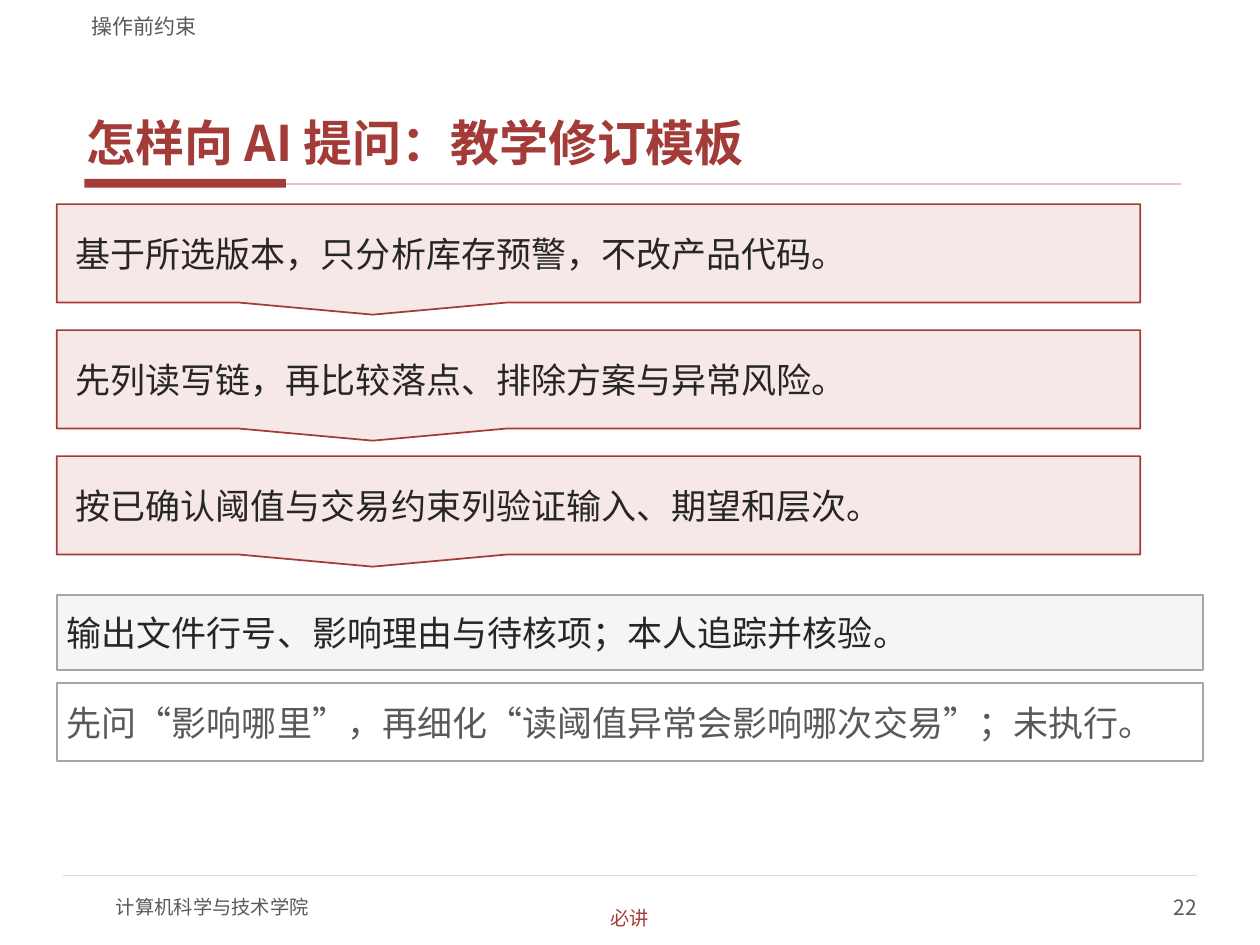
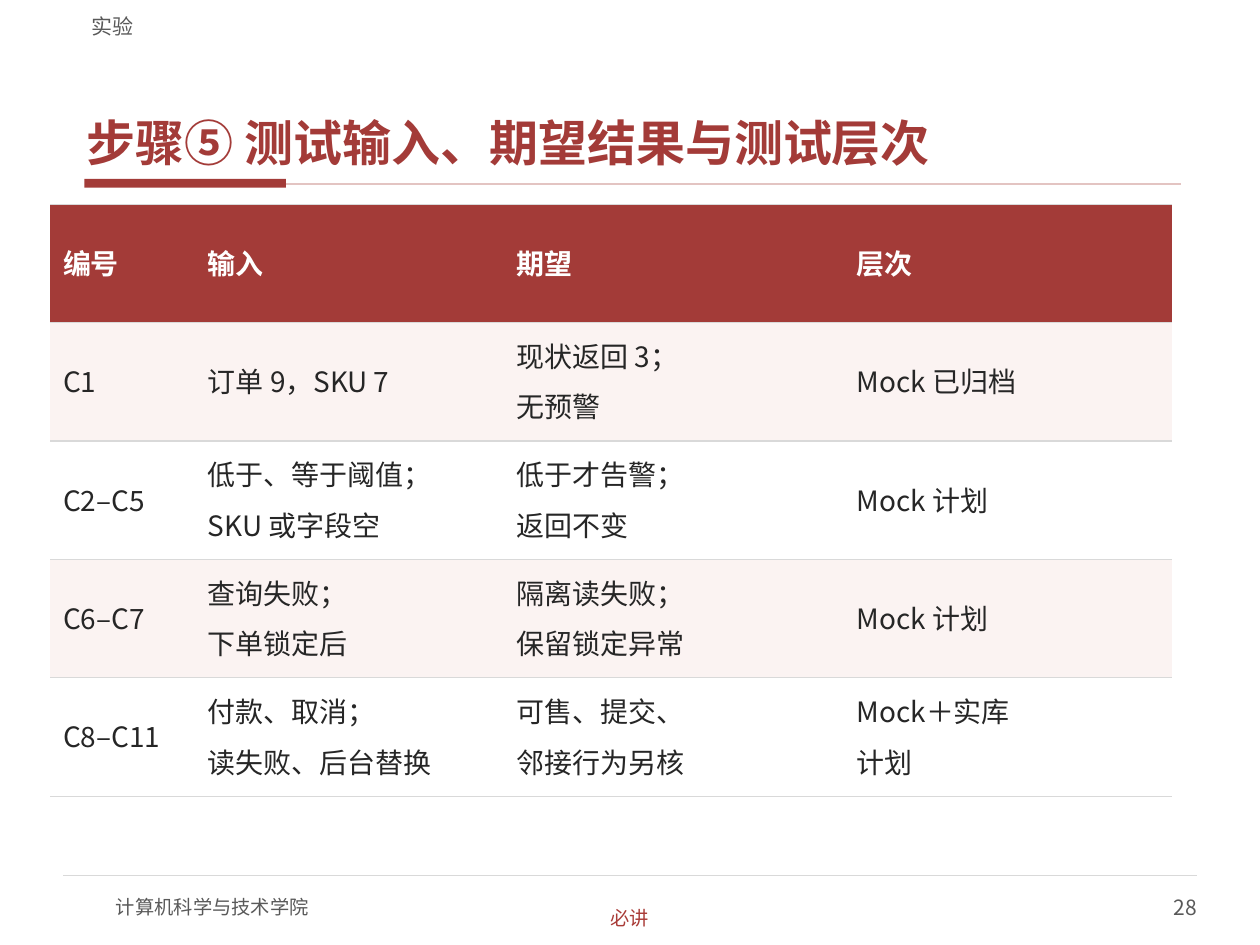
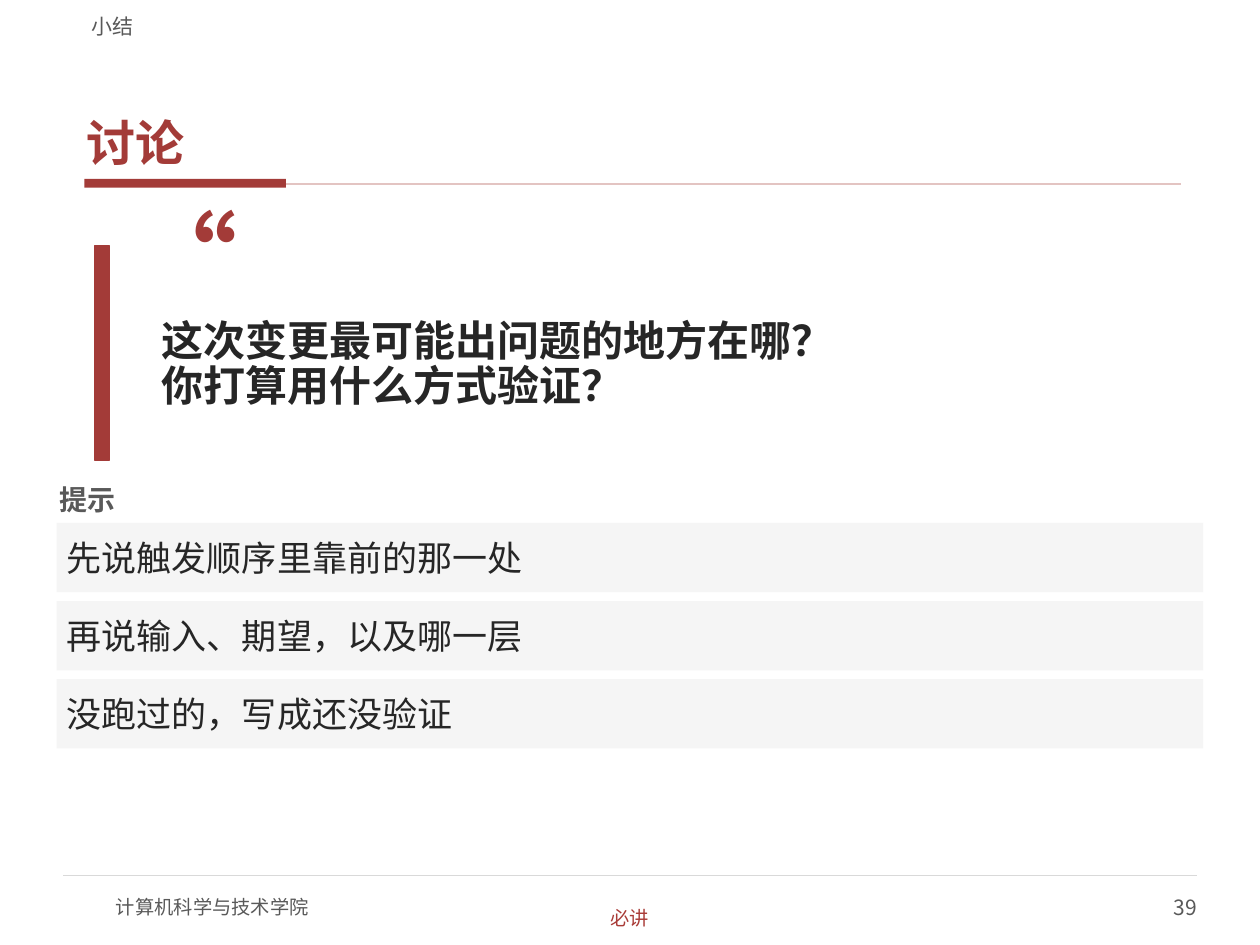
from dataclasses import dataclass

from lxml import etree
from pptx import Presentation
from pptx import util as u
from pptx.dml.color import RGBColor
from pptx.enum import lang, shapes, text
from pptx.oxml.ns import qn


@dataclass(frozen=True)
class Theme:
    font: str = "Noto Sans CJK SC"
    red: str = "A33B38"
    badge_red: str = "A93B37"
    pale_red: str = "E3C4C2"
    callout: str = "F6E8E6"
    band: str = "FBF3F2"
    panel: str = "F5F5F5"
    white: str = "FFFFFF"
    ink: str = "262626"
    muted: str = "595959"
    border: str = "A6A6A6"
    rule: str = "D9D9D9"
    mark: float = 60
    title: float = 28
    quote: float = 24
    body: float = 20
    table: float = 16
    small: float = 12
    footer: float = 11


T = Theme()
RECT = shapes.MSO_SHAPE.RECTANGLE
CALLOUT = shapes.MSO_SHAPE.RECTANGULAR_CALLOUT
TOP, MIDDLE, BOTTOM = (text.MSO_ANCHOR.TOP, text.MSO_ANCHOR.MIDDLE,
                       text.MSO_ANCHOR.BOTTOM)
LEFT, CENTER, RIGHT = text.PP_ALIGN.LEFT, text.PP_ALIGN.CENTER, text.PP_ALIGN.RIGHT

prs = Presentation()
prs.slide_width, prs.slide_height = u.Inches(10), u.Inches(7.5)
UNIT = prs.slide_width // 100  # the slide is a grid of 100 columns by 75 rows


def write(tf, content, size=T.body, color=T.ink, bold=False, align=LEFT,
          spacing=None, before=0, after=0):
    """Fill a text frame, one paragraph for each line of content."""
    for i, line in enumerate(content.split("\n")):
        p = tf.add_paragraph() if i else tf.paragraphs[0]
        p.alignment = align
        p.space_before = u.Pt(before if i else 0)
        p.space_after = u.Pt(after)
        if spacing:
            p.line_spacing = spacing
        r = p.add_run()
        r.text = line
        r.font.name, r.font.size, r.font.bold = T.font, u.Pt(size), bold
        r.font.color.rgb = RGBColor.from_string(color)
        r.font.language_id = lang.MSO_LANGUAGE_ID.SIMPLIFIED_CHINESE
        rpr = r.font._element
        rpr.find(qn("a:latin")).addnext(
            etree.Element(qn("a:ea"), typeface=T.font))


def add(s, box, content="", shape=None, fill=None, line=None, inset=(0.8, 0.4),
        anchor=MIDDLE, wrap=True, **fmt):
    """Place a shape, or a text box if no shape is named; box is in grid units."""
    box = [round(v * UNIT) for v in box]
    if shape is None:
        sp = s.shapes.add_textbox(*box)
    else:
        sp = s.shapes.add_shape(shape, *box)
        sp.shadow.inherit = False
        sp.fill.solid()
        sp.fill.fore_color.rgb = RGBColor.from_string(fill)
        if line:
            sp.line.color.rgb = RGBColor.from_string(line)
            sp.line.width = u.Pt(1)
        else:
            sp.line.fill.background()
    tf = sp.text_frame
    tf.word_wrap, tf.vertical_anchor = wrap, anchor
    tf.margin_left = tf.margin_right = round(inset[0] * UNIT)
    tf.margin_top = tf.margin_bottom = round(inset[1] * UNIT)
    if content:
        write(tf, content, **fmt)


# Frame of every slide
pages = [
    ("操作前约束", "怎样向 AI 提问：教学修订模板", 22),
    ("实验", "步骤⑤ 测试输入、期望结果与测试层次", 28),
    ("小结", "讨论", 39),
]
slides = []
for section, title, number in pages:
    s = prs.slides.add_slide(prs.slide_layouts[6])
    slides.append(s)
    add(s, (6.7, 14.2, 16, 0.7), shape=RECT, fill=T.red)
    for x1, x2, y, color, width in ((22.7, 93.7, 14.6, T.pale_red, 1),
                                    (5, 95, 69.5, T.rule, 0.75)):
        ends = [round(v * UNIT) for v in (x1, y, x2, y)]
        rule = s.shapes.add_connector(shapes.MSO_CONNECTOR.STRAIGHT, *ends)
        rule.line.color.rgb = RGBColor.from_string(color)
        rule.line.width = u.Pt(width)
        etree.SubElement(rule._element.spPr, qn("a:effectLst"))
    add(s, (9.2, 70, 40, 4), "计算机科学与技术学院", inset=(0, 0),
        size=T.footer, color=T.muted)
    add(s, (75, 70, 20, 4), str(number), inset=(0, 0),
        size=T.small, color=T.muted, align=RIGHT)
    add(s, (6.3, 3.3, 87.5, 10.5), title, inset=(0.6, 0.2), anchor=BOTTOM,
        size=T.title, color=T.red, bold=True, after=2)
    add(s, (6.3, 0.4, 87.5, 2.7), section, inset=(1, 0), anchor=BOTTOM,
        size=T.small, color=T.muted)
    add(s, (44, 71.8, 12, 2.1), "必讲", inset=(0, 0), wrap=False,
        size=T.footer, color=T.badge_red, align=CENTER)

prompt, tests, discussion = slides

# Prompt template
steps = [
    "基于所选版本，只分析库存预警，不改产品代码。",
    "先列读写链，再比较落点、排除方案与异常风险。",
    "按已确认阈值与交易约束列验证输入、期望和层次。",
]
for i, step in enumerate(steps):
    add(prompt, (4.5, 16.2 + 10 * i, 86, 7.8), step, CALLOUT, T.callout, T.red,
        inset=(1.5, 0.7))
add(prompt, (4.5, 47.2, 91, 6), "输出文件行号、影响理由与待核项；本人追踪并核验。",
    RECT, T.panel, T.border)
add(prompt, (4.5, 54.2, 91, 6.2),
    "先问“影响哪里”，再细化“读阈值异常会影响哪次交易”；未执行。",
    RECT, T.white, T.border, color=T.muted)

# Test plan
rows = [
    ("编号", "输入", "期望", "层次"),
    ("C1", "订单 9，SKU 7", "现状返回 3；\n无预警", "Mock 已归档"),
    ("C2–C5", "低于、等于阈值；\nSKU 或字段空", "低于才告警；\n返回不变", "Mock 计划"),
    ("C6–C7", "查询失败；\n下单锁定后", "隔离读失败；\n保留锁定异常", "Mock 计划"),
    ("C8–C11", "付款、取消；\n读失败、后台替换", "可售、提交、\n邻接行为另核",
     "Mock＋实库\n计划"),
]
widths = (11.5, 24.5, 27, 26)
area = [round(v * UNIT) for v in (4, 16.2, sum(widths), 47)]
table = tests.shapes.add_table(len(rows), len(widths), *area).table
for column, width in zip(table.columns, widths):
    column.width = round(width * UNIT)
for i, row in enumerate(rows):
    for j, content in enumerate(row):
        cell = table.cell(i, j)
        cell.vertical_anchor = MIDDLE
        tcpr = cell._tc.get_or_add_tcPr()
        for side in "LR":
            etree.SubElement(etree.SubElement(tcpr, qn(f"a:ln{side}")), qn("a:noFill"))
        for side in "TB":
            edge = etree.SubElement(tcpr, qn(f"a:ln{side}"), w=str(u.Pt(0.75)))
            solid = etree.SubElement(edge, qn("a:solidFill"))
            etree.SubElement(solid, qn("a:srgbClr"), val=T.rule)
        header = i == 0
        fill = T.red if header else T.band if i % 2 else T.white
        cell.fill.solid()
        cell.fill.fore_color.rgb = RGBColor.from_string(fill)
        write(cell.text_frame, content, size=T.table, bold=header,
              color=T.white if header else T.ink, spacing=0.9, before=6, after=2)

# Discussion
add(discussion, (7.5, 19.5, 1.2, 17), shape=RECT, fill=T.red, line=T.red)
add(discussion, (10.5, 15.5, 10, 10), "“", inset=(0, 0), anchor=TOP,
    size=T.mark, color=T.red, bold=True)
add(discussion, (12, 21.5, 83.5, 15),
    "这次变更最可能出问题的地方在哪？\n你打算用什么方式验证？",
    size=T.quote, bold=True, spacing=0.9)
add(discussion, (4.5, 38, 30, 3.2), "提示", inset=(0.2, 0.1),
    size=T.table, color=T.muted, bold=True)
hints = ["先说触发顺序里靠前的那一处", "再说输入、期望，以及哪一层", "没跑过的，写成还没验证"]
for i, hint in enumerate(hints):
    add(discussion, (4.5, 41.5 + 6.2 * i, 91, 5.5), hint, RECT, T.panel)

prs.save("out.pptx")
